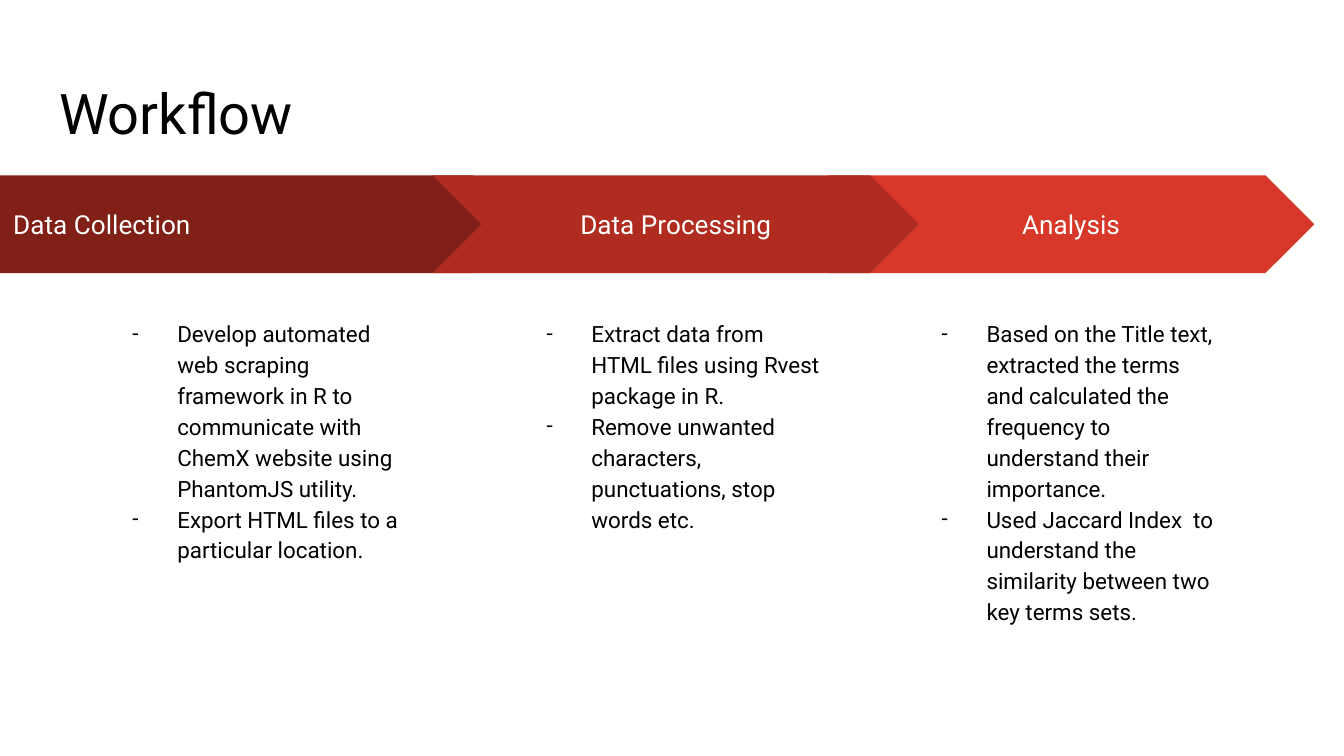
from lxml import etree
from pptx import Presentation
from pptx.dml.color import RGBColor
from pptx.enum import shapes as sh, text as tx
from pptx.oxml import ns
from pptx.util import Pt

HUES = {"ink": "000000", "paper": "FFFFFF", "dark": "802017", "mid": "B02C20", "light": "D83829"}
FONT = "Roboto"
LEFT, TOP, MID = tx.PP_ALIGN.LEFT, tx.MSO_ANCHOR.TOP, tx.MSO_ANCHOR.MIDDLE


def write(shape, lines, size, hue="ink", align=LEFT, anchor=TOP, dash=False):
    frame = shape.text_frame
    frame.word_wrap = True
    frame.auto_size = tx.MSO_AUTO_SIZE.NONE
    frame.vertical_anchor = anchor
    frame.margin_left = frame.margin_right = Pt(7.2)
    frame.margin_top = frame.margin_bottom = Pt(7.2)
    frame.text = "\n".join(lines)
    for para in frame.paragraphs:
        para.alignment = align
        para.line_spacing = 1.15 if dash else 1.0
        para.space_before = para.space_after = Pt(0)
        font = para.runs[0].font
        font.name, font.size, font.bold = FONT, Pt(size), False
        font.color.rgb = RGBColor.from_string(HUES[hue])
        if dash:
            props = para._p.get_or_add_pPr()
            props.set("marL", str(Pt(36)))
            props.set("indent", str(Pt(-24)))
            tint = etree.SubElement(props, ns.qn("a:buClr"))
            etree.SubElement(tint, ns.qn("a:srgbClr"), val=HUES[hue])
            etree.SubElement(props, ns.qn("a:buFont"), typeface=FONT)
            etree.SubElement(props, ns.qn("a:buChar"), char="-")


def place(shape, left, top, width, height):
    shape.left, shape.top = Pt(left), Pt(top)
    shape.width, shape.height = Pt(width), Pt(height)


deck = Presentation()
deck.slide_width, deck.slide_height = Pt(720), Pt(405)
slide = deck.slides.add_slide(deck.slide_layouts[4])
title, *lists = slide.placeholders
spare = lists.pop()
spare.element.getparent().remove(spare.element)

place(title, 24.5, 35, 671, 48.2)
write(title, ["Workflow"], 30)

PLATE, CHEV = sh.MSO_SHAPE.PENTAGON, sh.MSO_SHAPE.CHEVRON
MIDDLE = tx.PP_ALIGN.CENTER
STEP, START = 211.7, 231.8
steps = [
    ("Analysis", "light", CHEV, START + STEP, 260.6, MIDDLE, 485.3, [
        "Based on the Title text, extracted the terms and calculated the frequency to understand their importance.",
        "Used Jaccard Index  to understand the similarity between two key terms sets."]),
    ("Data Collection", "dark", PLATE, 0, 279.4, LEFT, 51.8, [
        "Develop automated web scraping framework in R to communicate with ChemX website using PhantomJS utility.",
        "Export HTML files to a particular location."]),
    ("Data Processing", "mid", CHEV, START, 260.6, MIDDLE, 273.6, [
        "Extract data from HTML files using Rvest package in R.",
        "Remove unwanted characters, punctuations, stop words etc."]),
]

for body, (name, hue, kind, left, width, align, edge, lines) in zip(lists, steps):
    arrow = slide.shapes.add_shape(kind, Pt(left), Pt(93.9), Pt(width), Pt(52.4))
    arrow.adjustments[0] = 0.5
    arrow.shadow.inherit = False
    arrow.fill.solid()
    arrow.fill.fore_color.rgb = RGBColor.from_string(HUES[hue])
    arrow.line.fill.background()
    write(arrow, [name], 14, hue="paper", align=align, anchor=MID)
    place(body, edge, 162.2, 176.4, 206)
    write(body, lines, 12, dash=True)

deck.save("out.pptx")
